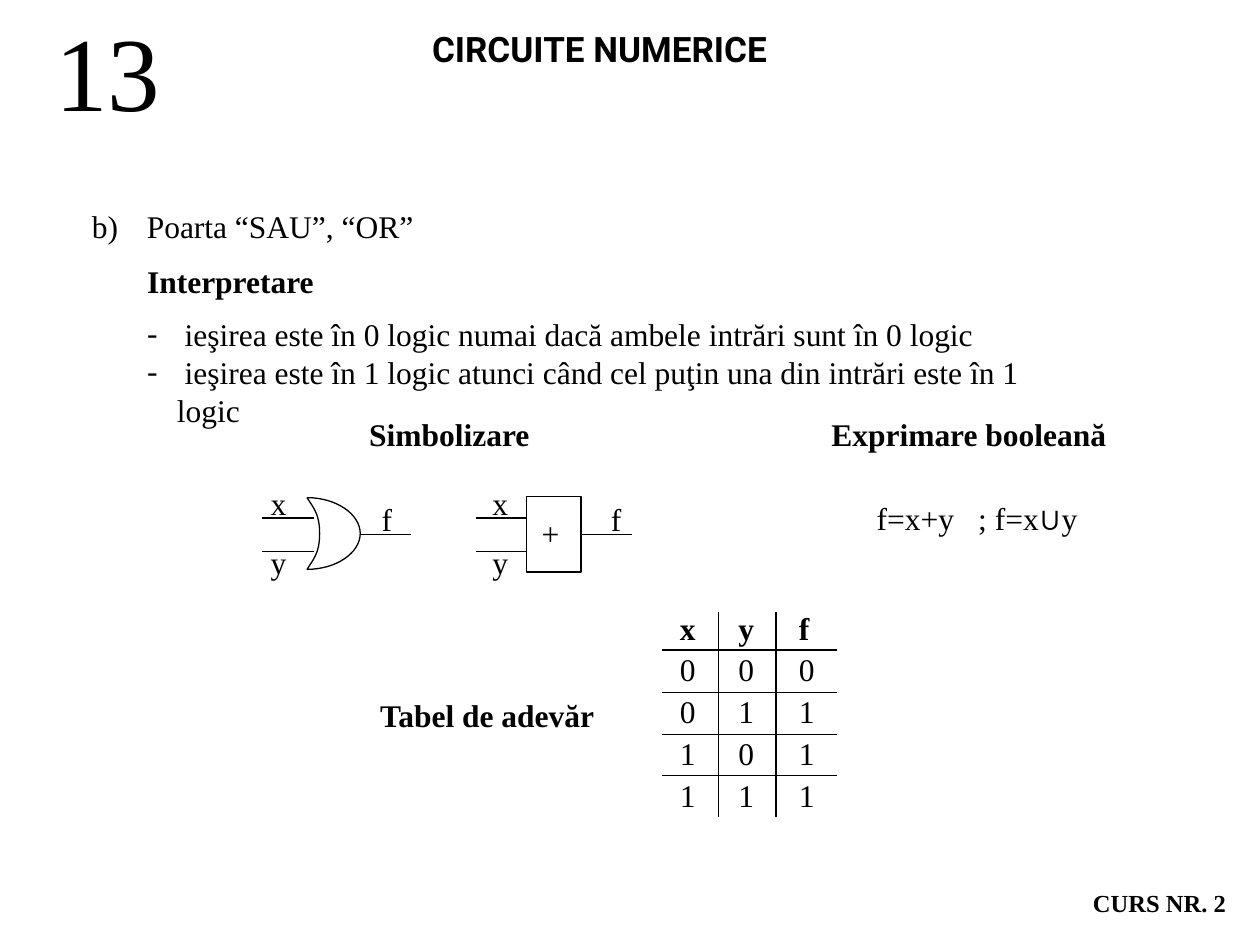
import dataclasses

import lxml.etree
import pptx
import pptx.dml.color
import pptx.enum.shapes
import pptx.enum.text
import pptx.oxml.ns
import pptx.util

Pt = pptx.util.Pt
qn = pptx.oxml.ns.qn


@dataclasses.dataclass(frozen=True)
class Theme:
    ink: str = "000000"
    paper: str = "FFFFFF"
    serif: str = "Times New Roman"
    title_font: str = "Roboto"
    symbol_font: str = "Arial"
    number: int = 60
    title: int = 20
    body: int = 18
    footer: int = 14
    thin: float = 0.75
    thick: float = 1.5


THEME = Theme()


def rgb(value):
    return pptx.dml.color.RGBColor.from_string(value)


def style(p, size=THEME.body, bold=False, name=THEME.serif):
    p.font.size = Pt(size)
    p.font.bold = bold
    p.font.name = name
    p.font.color.rgb = rgb(THEME.ink)


def add_paragraph_part(p, tag, **attrs):
    """Add a bullet or tab element ahead of the paragraph's font."""
    defaults = p._p.get_or_add_pPr().find(qn("a:defRPr"))
    part = lxml.etree.Element(qn(tag), attrs)
    defaults.addprevious(part)
    return part


def add_text(slide, x, y, w, text, h=28.8, wrap=False, **font):
    tf = slide.shapes.add_textbox(Pt(x), Pt(y), Pt(w), Pt(h)).text_frame
    tf.word_wrap = wrap
    tf.auto_size = pptx.enum.text.MSO_AUTO_SIZE.SHAPE_TO_FIT_TEXT
    tf.text = text
    for p in tf.paragraphs:
        style(p, **font)
    return tf


def add_bullets(slide, x, y, w, items):
    tf = add_text(slide, x, y, w, "\n".join(items), h=72.3, wrap=True)
    for p in tf.paragraphs:
        p.line_spacing = Pt(21.7)
        pPr = p._p.get_or_add_pPr()
        pPr.set("marL", str(Pt(17)))
        pPr.set("indent", str(-Pt(17)))
        add_paragraph_part(p, "a:buFont", typeface=THEME.serif)
        add_paragraph_part(p, "a:buChar", char="-")


def add_wire(slide, x1, x2, y):
    line = slide.shapes.add_connector(
        pptx.enum.shapes.MSO_CONNECTOR.STRAIGHT, Pt(x1), Pt(y), Pt(x2), Pt(y))
    line.line.color.rgb = rgb(THEME.ink)
    line.line.width = Pt(THEME.thin)
    lxml.etree.SubElement(line._element.spPr, qn("a:effectLst"))


def outline(sp):
    sp.shadow.inherit = False
    sp.fill.solid()
    sp.fill.fore_color.rgb = rgb(THEME.paper)
    sp.line.color.rgb = rgb(THEME.ink)
    sp.line.width = Pt(THEME.thin)


def bezier(a, b, c, d, steps=16):
    """Points along a cubic curve, without its start."""
    for i in range(1, steps + 1):
        t = i / steps
        u = 1 - t
        yield tuple(Pt(u**3 * p + 3 * u * u * t * q + 3 * u * t * t * r + t**3 * s)
                    for p, q, r, s in zip(a, b, c, d))


def add_or_body(slide, x, y, w, h):
    """Curved OR outline: hollow back, then lower and upper front."""
    mid, hollow, nose = y + h / 2, x + 7.2, x + w
    top, bottom = (x, y), (x, y + h)
    curves = [
        (top, (x + 3.6, y + 5.8), (hollow, y + 9.4), (hollow, mid)),
        ((hollow, mid), (hollow, y + h - 9.4), (x + 3.6, y + h - 5.8), bottom),
        (bottom, (x + 16.6, y + h), (nose, y + h - 9.4), (nose, mid)),
        ((nose, mid), (nose, y + 9.4), (x + 16.6, y), top),
    ]
    builder = slide.shapes.build_freeform(Pt(x), Pt(y))
    builder.add_line_segments([pt for c in curves for pt in bezier(*c)], close=True)
    outline(builder.convert_to_shape())


def add_gate_pins(slide, in_x, out_x, label_x, f_x):
    for y in (296, 315):
        add_wire(slide, in_x, in_x + 29.5, y)
    add_wire(slide, out_x, out_x + 29.8, 305.3)
    add_text(slide, label_x, 272.9, 23, "x")
    add_text(slide, label_x, 306.7, 23, "y")
    add_text(slide, f_x, 282.2, 20.2, "f")


def set_borders(cell, **widths):
    """Draw the sides that have a width, and clear the others."""
    tcPr = cell._tc.get_or_add_tcPr()
    for i, side in enumerate("LRTB"):
        width = widths.get(side)
        ln = lxml.etree.Element(qn("a:ln" + side), w=str(Pt(width or 0)))
        if width:
            fill = lxml.etree.SubElement(ln, qn("a:solidFill"))
            lxml.etree.SubElement(fill, qn("a:srgbClr"), val=THEME.ink)
        else:
            lxml.etree.SubElement(ln, qn("a:noFill"))
        tcPr.insert(i, ln)


def add_truth_table(slide, x, y, rows):
    widths, heights, insets = (32, 33, 35), (21, 24, 24, 23, 23), (10, 11.5, 13)
    table = slide.shapes.add_table(len(rows), len(widths), Pt(x), Pt(y),
                                   Pt(sum(widths)), Pt(sum(heights))).table
    table.first_row = table.horz_banding = False
    for column, width in zip(table.columns, widths):
        column.width = Pt(width)
    for row, height in zip(table.rows, heights):
        row.height = Pt(height)

    inner_v = (None, THEME.thin, THEME.thick, None)
    inner_h = (None, THEME.thick, THEME.thin, THEME.thin, THEME.thin, None)
    for r, values in enumerate(rows):
        for c, value in enumerate(values):
            cell = table.cell(r, c)
            cell.text = value
            cell.margin_left = Pt(insets[c])
            cell.margin_right = cell.margin_bottom = 0
            cell.margin_top = Pt(2 if r else 0)
            cell.fill.background()
            style(cell.text_frame.paragraphs[0], bold=r == 0)
            set_borders(cell, L=inner_v[c], R=inner_v[c + 1],
                        T=inner_h[r], B=inner_h[r + 1])


def add_formula(slide, x, y, w):
    tf = add_text(slide, x, y, w, "f=x+y\t; f=x")
    p = tf.paragraphs[0]
    tabs = add_paragraph_part(p, "a:tabLst")
    lxml.etree.SubElement(tabs, qn("a:tab"), pos=str(Pt(58)), algn="l")
    r = p.add_run()
    r.text = "∪"
    r.font.name = THEME.symbol_font
    p.add_run().text = "y"


def main():
    prs = pptx.Presentation()
    prs.slide_width, prs.slide_height = Pt(720), Pt(540)
    slide = prs.slides.add_slide(prs.slide_layouts[6])

    # Title, slide number and footer
    add_text(slide, 239.8, 12.2, 218.2, "CIRCUITE NUMERICE", h=31.7,
             size=THEME.title, bold=True, name=THEME.title_font)
    add_text(slide, 617.5, 504, 91.5, "CURS NR. 2", h=24.5, size=THEME.footer, bold=True)
    add_text(slide, 24.5, 0, 74.2, "13", h=79.2, size=THEME.number)

    # Interpretation
    add_text(slide, 45.4, 114.5, 29.5, "b)")
    add_text(slide, 76.8, 114.5, 168, "Poarta “SAU”, “OR”")
    add_text(slide, 77, 146.4, 110.2, "Interpretare", bold=True)
    add_bullets(slide, 77, 176.4, 542.2, [
        " ieşirea este în 0 logic numai dacă ambele intrări sunt în 0 logic",
        " ieşirea este în 1 logic atunci când cel puţin una din intrări este în 1 logic",
    ])

    # Gate symbols
    add_text(slide, 203.8, 233.5, 106.6, "Simbolizare", bold=True)
    add_gate_pins(slide, in_x=149.8, out_x=205.2, label_x=147.6, f_x=211)
    add_or_body(slide, 175.5, 284.4, 30.4, 41)
    add_gate_pins(slide, in_x=272.2, out_x=331.4, label_x=274.3, f_x=342)
    box = slide.shapes.add_shape(pptx.enum.shapes.MSO_SHAPE.RECTANGLE,
                                 Pt(301), Pt(283.7), Pt(31), Pt(43.2))
    outline(box)
    add_text(slide, 302.4, 290.2, 24.5, "+")

    # Boolean expression
    add_text(slide, 468, 233.5, 172, "Exprimare booleană", bold=True)
    add_formula(slide, 493.9, 281.5, 130.3)

    # Truth table
    add_text(slide, 210.2, 394.4, 138.2, "Tabel de adevăr", bold=True)
    add_truth_table(slide, 378.5, 350, ["xyf", "000", "011", "101", "111"])

    prs.save("out.pptx")


if __name__ == "__main__":
    main()
